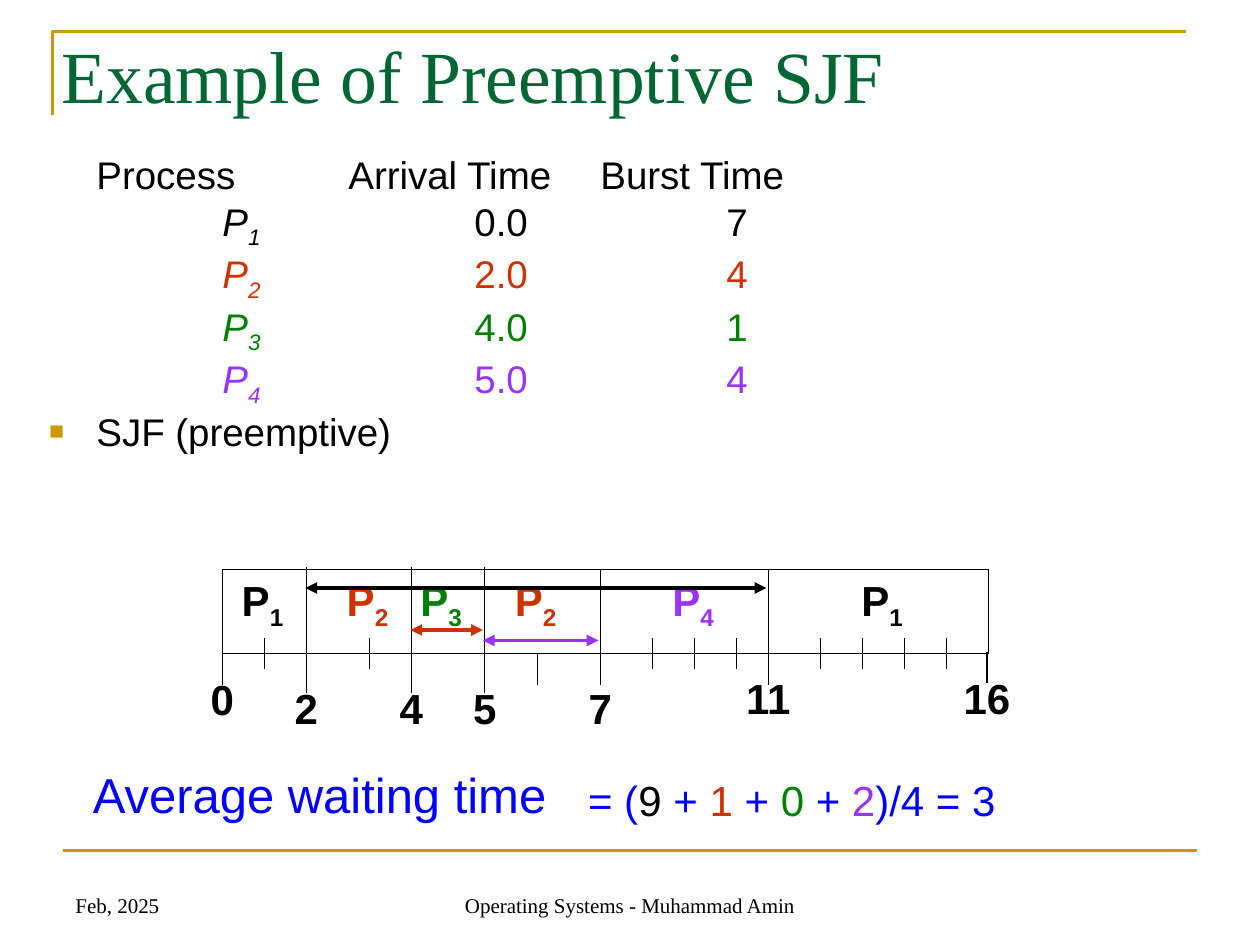
from lxml.etree import SubElement
from pptx import Presentation
from pptx.dml.color import RGBColor
from pptx.enum.shapes import MSO_CONNECTOR as Connector, MSO_SHAPE as Shape
from pptx.enum.text import MSO_ANCHOR as Anchor, MSO_AUTO_SIZE as AutoSize, PP_ALIGN as Align
from pptx.oxml.ns import qn
from pptx.util import Pt

COLORS = {"ink": "000000", "gold": "CC9900", "title": "006633", "blue": "0000FF",
          "white": "FFFFFF", "P1": "000000", "P2": "CC3300", "P3": "008000", "P4": "9933FF"}
SANS, SERIF = "Arial", "Times New Roman"

# Process, arrival time, burst time
PROCESSES = [("P1", "0.0", "7"), ("P2", "2.0", "4"), ("P3", "4.0", "1"), ("P4", "5.0", "4")]
INDENT = 27
TAB_STOPS = [INDENT + 72 * column for column in range(6)]

# Gantt offsets from the left of the bar: process and its centre
RUNS = [("P1", 23), ("P2", 83), ("P3", 125), ("P2", 179), ("P4", 269), ("P1", 377)]
# Time, offset, line top and bottom from the top of the bar, label top
BOUNDARIES = [("0", 0, 48, 66, 56), ("2", 48, -1.5, 70.5, 61), ("4", 108, -1.5, 70.5, 61),
              ("5", 150, -1.5, 70.5, 61), ("7", 216, 0, 66, 61), ("11", 312, 0, 66, 55),
              ("16", 437, 47, 65, 55)]
UNIT_TICKS = [24, 84, *range(246, 295, 24), *range(342, 415, 24)]
# Process, start, end, distance below the top of the bar
WAITS = [("P2", 107.5, 149, 34.5), ("P4", 149, 215, 40.5), ("P1", 47.5, 311, 10.5)]


def rgb(name):
    return RGBColor.from_string(COLORS[name])


def add_text(para, text, size=24, font=SANS, color="ink", bold=False, italic=False, sub=False):
    span = para.add_run()
    span.text = text
    span.font.size, span.font.name = Pt(size), font
    span.font.bold, span.font.italic = bold, italic
    span.font.color.rgb = rgb(color)
    if sub:
        span.font._element.set("baseline", "-25000")


def add_box(page, box, anchor=Anchor.TOP, align=Align.LEFT, wrap=True):
    frame = page.shapes.add_textbox(*map(Pt, box)).text_frame
    frame.word_wrap, frame.vertical_anchor = wrap, anchor
    frame.paragraphs[0].alignment = align
    return frame


def add_line(page, start, end, color="ink", width=0.75, arrows=False):
    line = page.shapes.add_connector(Connector.STRAIGHT, *map(Pt, (*start, *end)))
    line.line.color.rgb = rgb(color)
    line.line.width = Pt(width)
    if arrows:
        outline = line.line._get_or_add_ln()
        for end_name in ("headEnd", "tailEnd"):
            SubElement(outline, qn("a:" + end_name), type="triangle")
    SubElement(line._element.spPr, qn("a:effectLst"))


def add_frame(page, box):
    """Gold corner above the title and rule above the footer."""
    left, top, width, height = box
    builder = page.shapes.build_freeform(Pt(left), Pt(top + 48))
    builder.add_line_segments([(Pt(left), Pt(top)), (Pt(left + width), Pt(top))], close=False)
    corner = builder.convert_to_shape()
    corner.shadow.inherit = False
    corner.fill.background()
    corner.line.color.rgb = rgb("gold")
    corner.line.width = Pt(1.5)
    bottom = top + height
    add_line(page, (left + 6, bottom), (left + width + 6, bottom), "gold", 1.5)


def add_title(page, box, text):
    title = page.shapes.title
    title.left, title.top, title.width, title.height = map(Pt, box)
    frame = title.text_frame
    frame.auto_size, frame.vertical_anchor = AutoSize.NONE, Anchor.MIDDLE
    frame.paragraphs[0].alignment = Align.LEFT
    add_text(frame.paragraphs[0], text, 42, SERIF, "title")


def add_processes(page, box):
    """Tabbed list of processes, then the name of the policy as a bullet."""
    frame = add_box(page, box)
    add_text(frame.paragraphs[0], "\tProcess\tArrival Time\tBurst Time", 22)
    for name, arrival, burst in PROCESSES:
        para = frame.add_paragraph()
        add_text(para, "\t\t" + name[0], 22, color=name, italic=True)
        add_text(para, name[1] + "\t\t", 22, color=name, italic=True, sub=True)
        add_text(para, f"{arrival}\t\t{burst}", 22, color=name)
    for para in frame.paragraphs:
        tabs = SubElement(para._p.get_or_add_pPr(), qn("a:tabLst"))
        for stop in TAB_STOPS:
            SubElement(tabs, qn("a:tab"), pos=str(Pt(stop)), algn="l")

    policy = frame.add_paragraph()
    add_text(policy, "SJF (preemptive)", 22)
    props = policy._p.get_or_add_pPr()
    props.set("marL", str(Pt(INDENT)))
    props.set("indent", str(-Pt(INDENT)))
    SubElement(SubElement(props, qn("a:buClr")), qn("a:srgbClr"), val=COLORS["gold"])
    SubElement(props, qn("a:buSzPct"), val="65000")
    SubElement(props, qn("a:buFont"), typeface=SANS)
    SubElement(props, qn("a:buChar"), char="■")


def add_gantt(page, box):
    left, top, width, height = box
    bar = page.shapes.add_shape(Shape.RECTANGLE, *map(Pt, box))
    bar.shadow.inherit = False
    bar.fill.solid()
    bar.fill.fore_color.rgb = rgb("white")
    bar.line.color.rgb = rgb("ink")
    bar.line.width = Pt(0.75)

    def add_label(center, label_top, label_height):
        label_box = (left + center - 30, top + label_top, 60, label_height)
        return add_box(page, label_box, Anchor.MIDDLE, Align.CENTER).paragraphs[0]

    # Processes in the bar
    for name, center in RUNS:
        para = add_label(center, -1, 40)
        add_text(para, name[0], color=name, bold=True)
        add_text(para, name[1], color=name, bold=True, sub=True)

    # Time axis
    for time, offset, start, end, label_top in BOUNDARIES:
        add_line(page, (left + offset, top + start), (left + offset, top + end))
        add_text(add_label(offset, label_top, 36), time, bold=True)
    ticks = [(offset, height - 9) for offset in UNIT_TICKS] + [(180, height)]
    for offset, start in ticks:
        add_line(page, (left + offset, top + start), (left + offset, top + start + 18))

    # Waiting times
    for name, start, end, drop in WAITS:
        add_line(page, (left + start, top + drop), (left + end, top + drop), name, 2.25, arrows=True)


def add_average(page, box):
    left, top, width, height = box
    caption = add_box(page, (left, top, 285, height))
    add_text(caption.paragraphs[0], "Average waiting time", 28, color="blue")
    formula = add_box(page, (left + 283, top + 5.5, width - 283, 36)).paragraphs[0]
    terms = [("= (", "blue"), ("9", "P1"), (" + ", "blue"), ("1", "P2"), (" + ", "blue"),
             ("0", "P3"), (" + ", "blue"), ("2", "P4"), (")/4 = 3", "blue")]
    for text, color in terms:
        add_text(formula, text, color=color)


def add_footer(page, box):
    left, top, width, height = box
    parts = [("Feb, 2025", left, 168, Align.LEFT),
             ("Operating Systems - Muhammad Amin", left + 210, 228, Align.CENTER)]
    for text, start, part_width, align in parts:
        frame = add_box(page, (start, top, part_width, height), Anchor.BOTTOM, align)
        add_text(frame.paragraphs[0], text, 12, SERIF)


def main():
    deck = Presentation()
    deck.slide_width, deck.slide_height = Pt(720), Pt(540)
    page = deck.slides.add_slide(deck.slide_layouts[5])
    add_frame(page, (30, 18, 648, 468))
    add_footer(page, (36, 492, 648, 36))
    add_processes(page, (21, 83, 675, 435))
    add_gantt(page, (127, 325.5, 438, 48))
    add_title(page, (28, 7, 659, 71), "Example of Preemptive SJF")
    add_average(page, (46, 433.5, 643, 41))
    deck.save("out.pptx")


if __name__ == "__main__":
    main()
